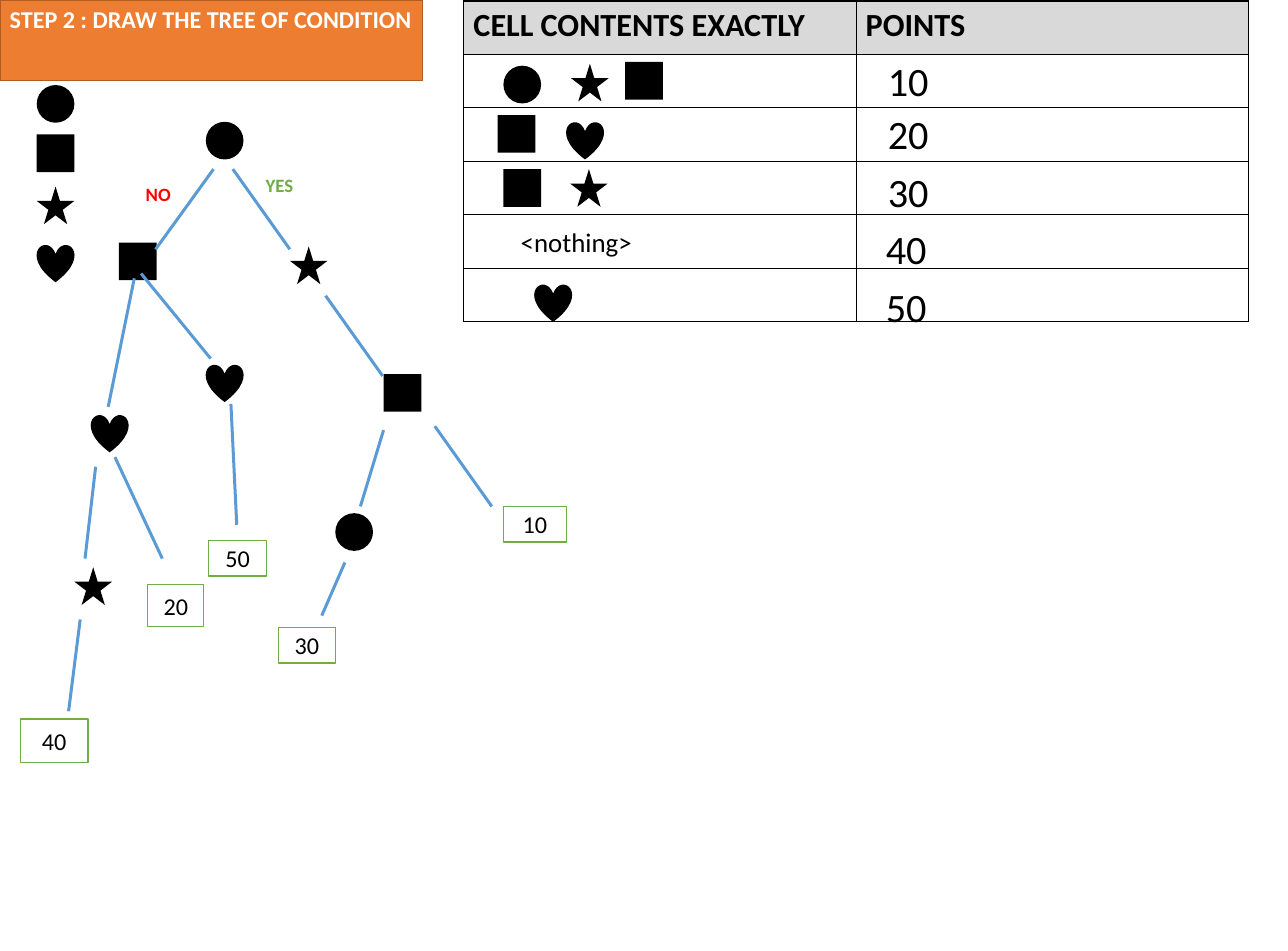
from dataclasses import dataclass

from lxml.etree import SubElement
from pptx import Presentation
from pptx.dml.color import RGBColor
from pptx.enum.shapes import MSO_CONNECTOR, MSO_SHAPE
from pptx.enum.text import MSO_ANCHOR, MSO_AUTO_SIZE, PP_ALIGN
from pptx.oxml.ns import qn
from pptx.slide import Slide
from pptx.text.text import TextFrame
from pptx.util import Inches, Pt

BLACK = RGBColor(0x00, 0x00, 0x00)
WHITE = RGBColor(0xFF, 0xFF, 0xFF)
ORANGE = RGBColor(0xED, 0x7D, 0x31)
BROWN = RGBColor(0xAF, 0x5C, 0x24)
BLUE = RGBColor(0x5B, 0x9B, 0xD5)
GREEN = RGBColor(0x70, 0xAD, 0x47)
RED = RGBColor(0xFF, 0x00, 0x00)
GREY = RGBColor(0xD9, 0xD9, 0xD9)

CIRCLE, SQUARE = MSO_SHAPE.OVAL, MSO_SHAPE.RECTANGLE
STAR, HEART = MSO_SHAPE.STAR_5_POINT, MSO_SHAPE.HEART
SYMBOL_SIZE = 0.39


@dataclass(frozen=True)
class Symbol:
    kind: MSO_SHAPE
    left: float
    top: float


@dataclass(frozen=True)
class Branch:
    x1: float
    y1: float
    x2: float
    y2: float


@dataclass(frozen=True)
class Label:
    text: str
    left: float
    top: float
    width: float
    height: float
    size: int = 18
    color: RGBColor = BLACK
    bold: bool = False


TITLE = Label("STEP 2 : DRAW THE TREE OF CONDITION", 0, 0, 4.37, 0.4, 18, WHITE, True)

CELL_LABELS = [
    Label("10", 9.09, 0.53, 0.63, 0.61, 30),
    Label("20", 9.09, 1.08, 0.63, 0.61, 30),
    Label("30", 9.09, 1.68, 0.63, 0.61, 30),
    Label("40", 9.07, 2.27, 0.63, 0.61, 30),
    Label("50", 9.07, 2.87, 0.63, 0.61, 30),
    Label("<nothing>", 5.29, 2.29, 1.36, 0.44, 20),
]
ANSWERS = [
    Label("YES", 2.65, 1.75, 0.49, 0.34, 14, GREEN, True),
    Label("NO", 1.41, 1.84, 0.46, 0.34, 14, RED, True),
]
LEAVES = [
    Label("10", 5.21, 5.24, 0.65, 0.37),
    Label("20", 1.53, 6.05, 0.58, 0.43),
    Label("30", 2.88, 6.49, 0.59, 0.37),
    Label("40", 0.21, 7.44, 0.7, 0.45),
    Label("50", 2.16, 5.59, 0.6, 0.37),
]

CELL_SYMBOLS = [
    Symbol(CIRCLE, 5.21, 0.68), Symbol(STAR, 5.91, 0.66), Symbol(SQUARE, 6.47, 0.64),
    Symbol(SQUARE, 5.15, 1.19), Symbol(HEART, 5.86, 1.26),
    Symbol(SQUARE, 5.21, 1.75), Symbol(STAR, 5.9, 1.75),
    Symbol(HEART, 5.53, 2.94),
]
LEGEND_SYMBOLS = [
    Symbol(CIRCLE, 0.38, 0.88), Symbol(SQUARE, 0.38, 1.39),
    Symbol(STAR, 0.38, 1.93), Symbol(HEART, 0.38, 2.53),
]
TREE_SYMBOLS = [
    Symbol(CIRCLE, 2.13, 1.26),
    Symbol(SQUARE, 1.23, 2.51), Symbol(STAR, 3, 2.55),
    Symbol(HEART, 0.94, 4.29), Symbol(HEART, 2.13, 3.77), Symbol(SQUARE, 3.97, 3.87),
    Symbol(STAR, 0.77, 5.87), Symbol(CIRCLE, 3.47, 5.31),
]
BRANCHES = [
    Branch(1.61, 2.58, 2.21, 1.75), Branch(3, 2.58, 2.41, 1.75),
    Branch(1.12, 4.21, 1.39, 2.88), Branch(2.18, 3.71, 1.46, 2.83),
    Branch(3.96, 3.89, 3.37, 3.06), Branch(5.09, 5.24, 4.5, 4.41),
    Branch(3.73, 5.24, 3.97, 4.45), Branch(3.33, 6.37, 3.57, 5.82),
    Branch(0.88, 5.78, 0.99, 4.83), Branch(1.68, 5.78, 1.19, 4.73),
    Branch(2.45, 5.43, 2.39, 4.18), Branch(0.71, 7.36, 0.83, 6.41),
]


def box(label: Label) -> list[int]:
    return [Inches(v) for v in (label.left, label.top, label.width, label.height)]


def write(frame: TextFrame, text: str, size: int, color: RGBColor, bold: bool,
          align: PP_ALIGN = PP_ALIGN.LEFT) -> None:
    paragraph = frame.paragraphs[0]
    paragraph.alignment = align
    run = paragraph.add_run()
    run.text = text
    font_format = {"name": "Calibri", "size": Pt(size), "bold": bold}
    for attribute, value in font_format.items():
        setattr(run.font, attribute, value)
    run.font.color.rgb = color


def write_fitted(frame: TextFrame, label: Label) -> None:
    frame_format = {"word_wrap": False, "auto_size": MSO_AUTO_SIZE.SHAPE_TO_FIT_TEXT,
                    "vertical_anchor": MSO_ANCHOR.TOP}
    for attribute, value in frame_format.items():
        setattr(frame, attribute, value)
    write(frame, label.text, label.size, label.color, label.bold)


def add_title(slide: Slide, label: Label) -> None:
    title = slide.shapes.title
    for side, value in zip(("left", "top", "width", "height"), box(label)):
        setattr(title, side, value)
    title.fill.solid()
    title.fill.fore_color.rgb = ORANGE
    title.line.color.rgb = BROWN
    title.line.width = Pt(1)
    write_fitted(title.text_frame, label)


def add_points_table(slide: Slide) -> None:
    table = slide.shapes.add_table(
        6, 2, Inches(4.8), Inches(0.01), Inches(8.12), Inches(3.32)).table
    table.first_row = table.horz_banding = False
    for cell in table.iter_cells():
        properties = cell._tc.get_or_add_tcPr()
        for side in ("a:lnL", "a:lnR", "a:lnT", "a:lnB"):
            border = SubElement(properties, qn(side), w=str(Pt(1)))
            SubElement(SubElement(border, qn("a:solidFill")), qn("a:srgbClr"), val=str(BLACK))
        cell.fill.background()
    for column, heading in enumerate(("CELL CONTENTS EXACTLY", "POINTS")):
        cell = table.cell(0, column)
        cell.fill.solid()
        cell.fill.fore_color.rgb = GREY
        write(cell.text_frame, heading, 24, BLACK, True)


def add_symbol(slide: Slide, symbol: Symbol) -> None:
    shape = slide.shapes.add_shape(symbol.kind, Inches(symbol.left), Inches(symbol.top),
                                   Inches(SYMBOL_SIZE), Inches(SYMBOL_SIZE))
    shape.shadow.inherit = False
    shape.fill.solid()
    shape.fill.fore_color.rgb = BLACK
    shape.line.fill.background()


def add_branch(slide: Slide, branch: Branch) -> None:
    ends = (Inches(v) for v in (branch.x1, branch.y1, branch.x2, branch.y2))
    line = slide.shapes.add_connector(MSO_CONNECTOR.STRAIGHT, *ends)
    line.line.color.rgb = BLUE
    line.line.width = Pt(2.25)
    SubElement(line._element.spPr, qn("a:effectLst"))


def add_leaf(slide: Slide, leaf: Label) -> None:
    shape = slide.shapes.add_shape(SQUARE, *box(leaf))
    shape.shadow.inherit = False
    shape.fill.solid()
    shape.fill.fore_color.rgb = WHITE
    shape.line.color.rgb = GREEN
    shape.line.width = Pt(1)
    shape.text_frame.vertical_anchor = MSO_ANCHOR.MIDDLE
    write(shape.text_frame, leaf.text, leaf.size, leaf.color, leaf.bold, PP_ALIGN.CENTER)


def main() -> None:
    deck = Presentation()
    deck.slide_width, deck.slide_height = Inches(13.33), Inches(9.84)
    slide = deck.slides.add_slide(deck.slide_layouts[5])

    # Title and points table
    add_title(slide, TITLE)
    add_points_table(slide)
    for label in CELL_LABELS + ANSWERS:
        write_fitted(slide.shapes.add_textbox(*box(label)).text_frame, label)

    # Symbols, then the branches and leaves of the tree
    for symbol in CELL_SYMBOLS + LEGEND_SYMBOLS + TREE_SYMBOLS:
        add_symbol(slide, symbol)
    for branch in BRANCHES:
        add_branch(slide, branch)
    for leaf in LEAVES:
        add_leaf(slide, leaf)

    deck.save("out.pptx")


if __name__ == "__main__":
    main()
